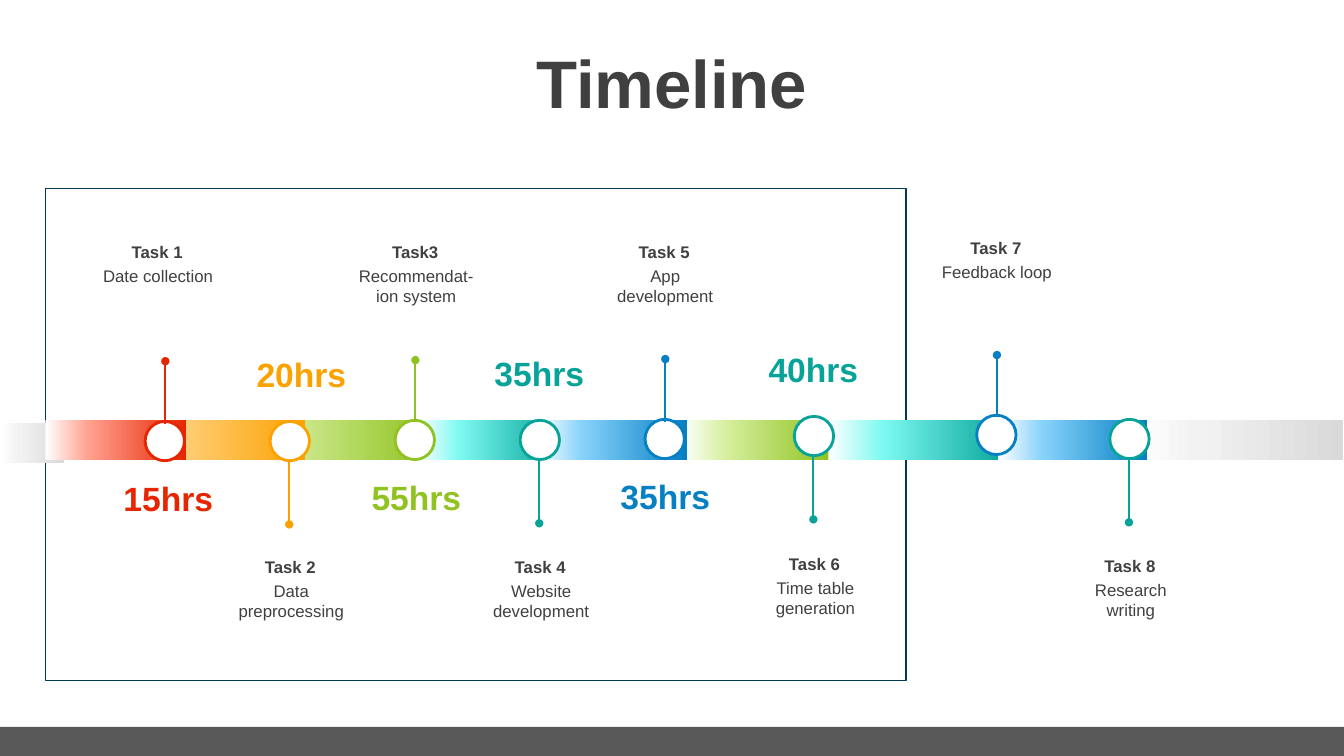
"""Build a timeline slide with eight tasks on a gradient band."""
from copy import deepcopy
from pptx import Presentation
from pptx.dml.color import RGBColor
from pptx.enum.shapes import MSO_CONNECTOR, MSO_SHAPE
from pptx.enum.text import MSO_ANCHOR, PP_ALIGN
from pptx.oxml.ns import qn
from pptx.util import Pt

INK, WHITE, FOOTER, FRAME = "404040", "FFFFFF", "595959", "033855"
RED, ORANGE, GREEN, TEAL, BLUE, GRAY = "E62601", "FBA200", "90C221", "07A398", "0680C3", "D9D9D9"
TINTS = {RED: "FFA290", ORANGE: "FFDA97", GREEN: "D6EF9E",
         TEAL: "7DF9F1", BLUE: "87D2FB", GRAY: "F2F2F2"}

# color, left, top, width
BANDS = [
    (GRAY, 809.3, 300.2, 150.1), (GRAY, 0, 302.4, 46.1),
    (GREEN, 486.7, 300.2, 105.8), (TEAL, 591.8, 300.2, 128.9), (BLUE, 712.8, 300.2, 106.6),
    (GREEN, 149.8, 300.2, 158.4), (TEAL, 298.1, 300.2, 100.8), (ORANGE, 59.8, 300.2, 158.4),
    (RED, 32.4, 300.2, 100.8), (BLUE, 383.8, 300.2, 106.6),
]
# name, description, color, circle center and top, label center and top, hours, hours center
TASKS = [
    ("Task 1", "Date collection", RED, 117.7, 301, 112.3, 169.2, "15hrs", 120.2),
    ("Task 2", "Data preprocessing", ORANGE, 207, 301, 207.4, 393.8, "20hrs", 215.3),
    ("Task3", "Recommendat-ion system", GREEN, 296.3, 300.2, 296.6, 169.2, "55hrs", 297.4),
    ("Task 4", "Website development", TEAL, 385.6, 300.2, 385.9, 393.8, "35hrs", 385.2),
    ("Task 5", "App development", BLUE, 474.8, 299.5, 474.5, 169.2, "35hrs", 475.2),
    ("Task 6", "Time table generation", TEAL, 581.4, 297.4, 581.8, 391.7, "40hrs", 581),
    ("Task 7", "Feedback loop", BLUE, 711.7, 296.6, 711.4, 166.3, "", 0),
    ("Task 8", "Research writing", TEAL, 806.8, 299.5, 807.1, 393.1, "", 0),
]
BAND_HEIGHT = CIRCLE = 28.1
STEM = 44.6
LABEL_WIDTH, HOURS_WIDTH = 100.8, 83.5


def color(code):
    """Turn a hex string into a color."""
    return RGBColor.from_string(code)


def add_shape(page, kind, left, top, width, height, fill=None, line=None, weight=1):
    """Add a flat shape with an optional fill and outline."""
    shape = page.shapes.add_shape(kind, Pt(left), Pt(top), Pt(width), Pt(height))
    shape.shadow.inherit = False
    if fill:
        shape.fill.solid()
        shape.fill.fore_color.rgb = color(fill)
    if line:
        shape.line.color.rgb = color(line)
        shape.line.width = Pt(weight)
    else:
        shape.line.fill.background()
    return shape


def add_band(page, shade, left, top, width):
    """Add a band piece that runs from white to its shade."""
    band = add_shape(page, MSO_SHAPE.RECTANGLE, left, top, width, BAND_HEIGHT)
    band.fill.gradient()
    band.fill.gradient_angle = 0
    stops = band._element.spPr.find(qn("a:gradFill")).find(qn("a:gsLst"))
    stops.insert(1, deepcopy(stops[0]))
    values = [(0, WHITE), (0.3, TINTS[shade]), (1, shade)]
    for stop, (position, code) in zip(band.fill.gradient_stops, values):
        stop.position = position
        stop.color.rgb = color(code)


def add_text(page, text, left, top, width, height, size, shade, bold=True,
             anchor=MSO_ANCHOR.TOP, spacing=1.0):
    """Add a centered text box."""
    box = page.shapes.add_textbox(Pt(left), Pt(top), Pt(width), Pt(height))
    frame = box.text_frame
    frame.word_wrap = True
    frame.vertical_anchor = anchor
    para = frame.paragraphs[0]
    para.alignment = PP_ALIGN.CENTER
    para.line_spacing = spacing
    span = para.add_run()
    span.text = text
    for name, value in {"name": "Arial", "size": Pt(size), "bold": bold}.items():
        setattr(span.font, name, value)
    span.font.color.rgb = color(shade)


def add_stem(page, x, start, end, shade):
    """Add a vertical line with a dot at its end."""
    stem = page.shapes.add_connector(MSO_CONNECTOR.STRAIGHT, Pt(x), Pt(start), Pt(x), Pt(end))
    stem.line.color.rgb = color(shade)
    stem.line.width = Pt(1.5)
    properties = stem._element.spPr
    tail = properties.find(qn("a:ln")).makeelement(qn("a:tailEnd"), {"type": "oval"})
    properties.find(qn("a:ln")).append(tail)
    properties.append(properties.makeelement(qn("a:effectLst"), {}))


def add_task(page, name, description, shade, center, top, label, label_top, hours, hours_center):
    """Add the circle, stem, labels and hours of one task."""
    above = label_top < top
    add_shape(page, MSO_SHAPE.OVAL, center - CIRCLE / 2, top, CIRCLE, CIRCLE, WHITE, shade, 2)
    start = top + (1.6 if above else 29)
    end = start - STEM if above else start + STEM
    add_stem(page, center + (0.4 if above else -0.4), start, end, shade)
    left = label - LABEL_WIDTH / 2
    add_text(page, name, left, label_top, LABEL_WIDTH, 21.6, 12, INK)
    add_text(page, description, left + 0.7, label_top + 17.2, LABEL_WIDTH, 36, 12, INK, False)
    if hours:
        hours_top = top + (36.7 if above else -51.5)
        add_text(page, hours, hours_center - HOURS_WIDTH / 2, hours_top, HOURS_WIDTH, 36, 24, shade)


deck = Presentation()
deck.slide_width, deck.slide_height = Pt(960), Pt(540)
page = deck.slides.add_slide(deck.slide_layouts[6])
add_shape(page, MSO_SHAPE.RECTANGLE, 0, 519.1, 960, 20.9, FOOTER)
add_shape(page, MSO_SHAPE.RECTANGLE, 32.4, 134.6, 614.9, 351.4, WHITE, FRAME)
add_text(page, "Timeline", 0, 31.7, 960, 61.2, 48, INK, anchor=MSO_ANCHOR.MIDDLE, spacing=0.9)
for band in BANDS:
    add_band(page, *band)
for task in TASKS:
    add_task(page, *task)
deck.save("out.pptx")
